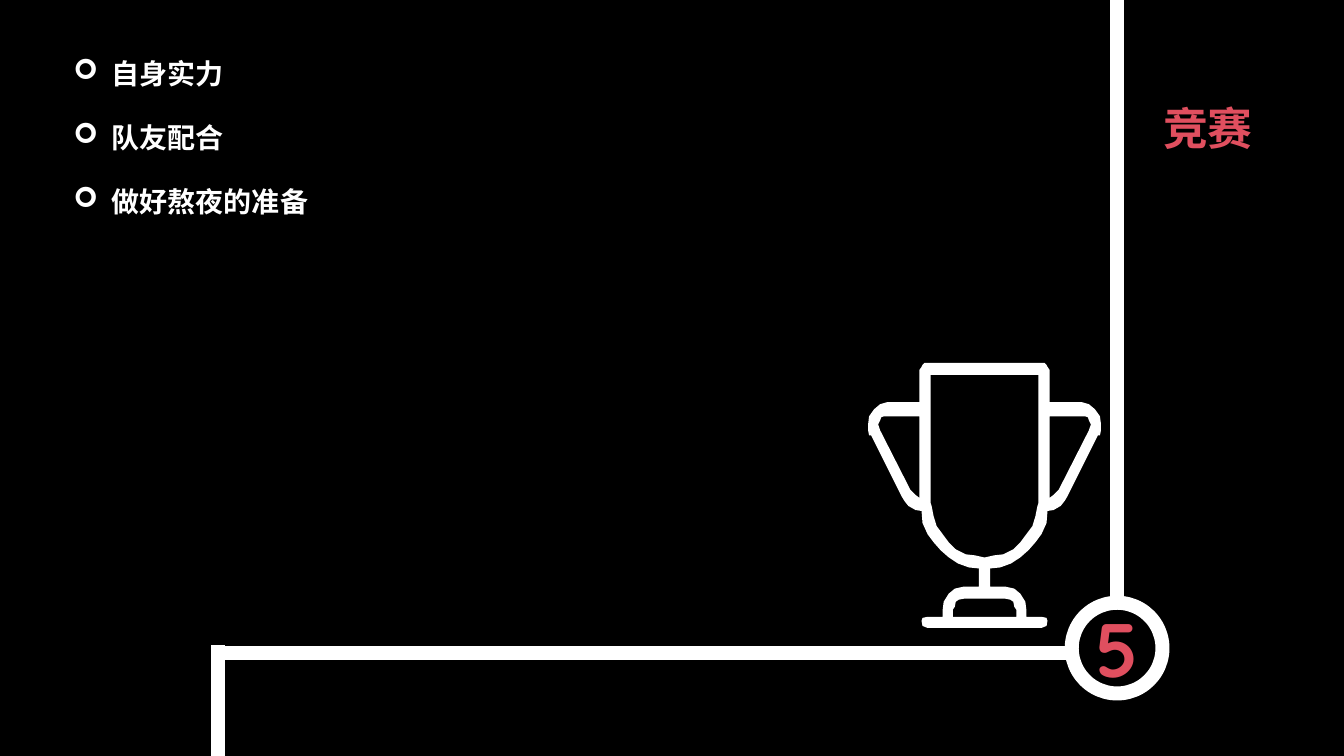
from dataclasses import dataclass
from lxml import etree
from pptx import Presentation
from pptx.dml.color import RGBColor
from pptx.enum.shapes import MSO_CONNECTOR, MSO_SHAPE
from pptx.enum.text import MSO_AUTO_SIZE, PP_ALIGN
from pptx.oxml.ns import qn
from pptx.util import Inches, Pt

LINE = MSO_CONNECTOR.STRAIGHT
OVAL = MSO_SHAPE.OVAL
GROW = MSO_AUTO_SIZE.SHAPE_TO_FIT_TEXT
LEFT, CENTER = PP_ALIGN.LEFT, PP_ALIGN.CENTER


@dataclass
class Theme:
    back = RGBColor(0, 0, 0)
    white = RGBColor(255, 255, 255)
    red = RGBColor(0xE0, 0x4F, 0x5F)
    latin = "Quicksand"
    asian = "Noto Sans CJK SC"
    mark = "Wingdings"
    digit = Pt(54)
    title = Pt(32)
    body = Pt(20)
    stroke = Pt(10)


theme = Theme()
deck = Presentation()
deck.slide_width, deck.slide_height = Inches(13.33), Inches(7.5)
slide = deck.slides.add_slide(deck.slide_layouts[6])
slide.background.fill.solid()
slide.background.fill.fore_color.rgb = theme.back


def add_text(text, box, size, face, color, align=LEFT, wrap=True):
    frame = slide.shapes.add_textbox(*map(Inches, box)).text_frame
    frame.word_wrap = wrap
    frame.auto_size = GROW
    para = frame.paragraphs[0]
    para.alignment = align
    run = para.add_run()
    run.text = text
    for key, value in {"size": size, "name": face, "bold": True}.items():
        setattr(run.font, key, value)
    run.font.color.rgb = color
    asian = etree.SubElement(run.font._element, qn("a:ea"))
    asian.set("typeface", theme.asian)
    return para


def flip(points):
    return [(19.53 - x, y) for x, y in reversed(points)]


ring = slide.shapes.add_shape(OVAL, *map(Inches, (10.63, 5.98, 0.9, 0.9)))
ring.shadow.inherit = False
ring.fill.background()
ring.line.color.rgb = theme.white
ring.line.width = theme.stroke

tracks = [
    (11.08, -0.19, 11.08, 5.98),
    (2.16, 6.48, 10.63, 6.48),
    (2.16, 6.4, 2.16, 7.5),
]
lines = []
for ends in tracks:
    line = slide.shapes.add_connector(LINE, *map(Inches, ends))
    line.line.color.rgb = theme.white
    line.line.width = theme.stroke
    etree.SubElement(line._element.spPr, qn("a:effectLst"))
    lines.append(line)
lines[0].end_connect(ring, 0)

rim = [
    (9.2, 3.6), (9.17, 3.6), (9.15, 3.62), (9.14, 3.64), (9.12, 3.67),
    (9.12, 3.99), (8.8, 3.99), (8.73, 4.01), (8.67, 4.06), (8.62, 4.13),
    (8.61, 4.21), (8.61, 4.27), (8.62, 4.32), (8.64, 4.32), (8.94, 4.92),
    (8.97, 4.97), (9.01, 5.02), (9.08, 5.06), (9.14, 5.07), (9.15, 5.19),
    (9.2, 5.3), (9.26, 5.38), (9.33, 5.46), (9.41, 5.53), (9.5, 5.59),
    (9.61, 5.63), (9.71, 5.64), (9.71, 5.82), (9.56, 5.82), (9.47, 5.84),
    (9.41, 5.89), (9.36, 5.97), (9.35, 6.05), (9.35, 6.12), (9.2, 6.12),
    (9.15, 6.13), (9.14, 6.16), (9.15, 6.21), (9.2, 6.23),
]
bowl = [
    (9.23, 3.72), (9.23, 4.99), (9.24, 5.02), (9.26, 5.12), (9.29, 5.22),
    (9.35, 5.3), (9.41, 5.38), (9.48, 5.45), (9.58, 5.5), (9.67, 5.51),
    (9.76, 5.53),
]
foot = [
    (9.56, 5.94), (9.51, 5.95), (9.48, 5.97), (9.47, 6.02), (9.45, 6.05),
    (9.45, 6.12),
]
grip = [
    (9.12, 4.94), (9.08, 4.91), (9.03, 4.86), (8.73, 4.27), (8.71, 4.21),
    (8.73, 4.17), (8.74, 4.14), (8.77, 4.13), (8.8, 4.13), (9.12, 4.13),
]
loops = [half + flip(half) for half in (rim, bowl, foot)] + [grip, flip(grip)]
loops = [[(Inches(x), Inches(y)) for x, y in loop] for loop in loops]
pen = slide.shapes.build_freeform(*loops[0][0])
for index, loop in enumerate(loops):
    if index:
        pen.move_to(*loop[0])
    pen.add_line_segments(loop[1:], close=True)
cup = pen.convert_to_shape()
cup.shadow.inherit = False
cup.fill.solid()
cup.fill.fore_color.rgb = theme.white
cup.line.fill.background()

add_text("5", (10.77, 5.92, 0.61, 1.01), theme.digit, theme.latin, theme.red, wrap=False)
add_text("竞赛", (10.14, 0.95, 3.68, 0.64), theme.title, theme.latin, theme.red, CENTER)

for row, text in enumerate(["自身实力", "队友配合", "做好熬夜的准备"]):
    box = (0.63, 0.51 + 0.635 * row, 5.08, 0.44)
    para = add_text(text, box, theme.body, theme.asian, theme.white)
    props = para._p.get_or_add_pPr()
    for key, value in {"marL": 0.38, "indent": -0.38}.items():
        props.set(key, str(Inches(value)))
    etree.SubElement(props, qn("a:buFont")).set("typeface", theme.mark)
    etree.SubElement(props, qn("a:buChar")).set("char", "➢")

deck.save("out.pptx")
